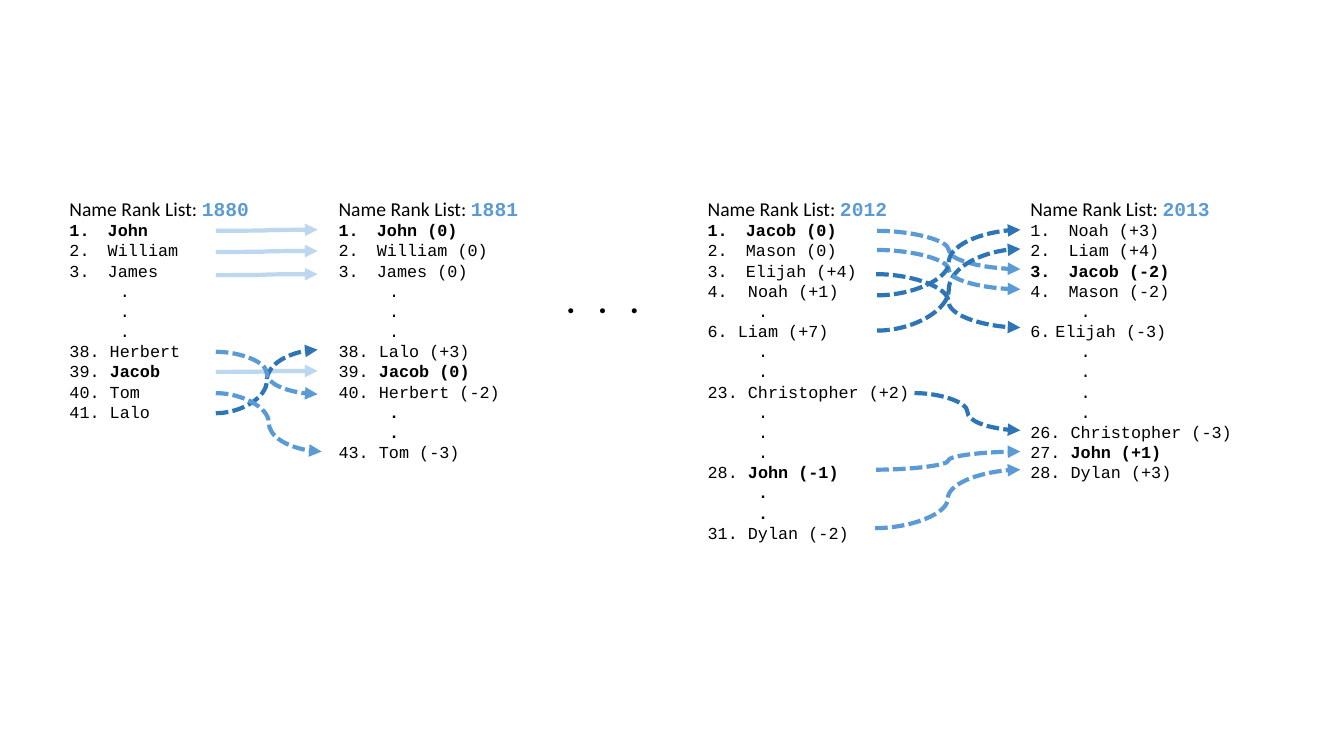
from dataclasses import dataclass

from lxml.etree import SubElement
from pptx import Presentation
from pptx.dml.color import RGBColor
from pptx.enum.dml import MSO_LINE_DASH_STYLE as Dash
from pptx.enum.shapes import MSO_CONNECTOR as Connector
from pptx.enum.text import MSO_AUTO_SIZE as AutoSize
from pptx.oxml.ns import qn
from pptx.slide import Slide
from pptx.text.text import TextFrame, _Paragraph as Paragraph
from pptx.util import Emu, Pt

PX = 9144  # 100 px to the inch


@dataclass(frozen=True)
class Theme:
    text: str = "000000"
    pale: str = "BDD7EE"
    mid: str = "5B9BD5"
    dark: str = "2E75B6"
    sans: str = "Calibri"
    mono: str = "Courier New"
    row_pt: int = 12
    heading_pt: int = 14
    ellipsis_pt: int = 24
    arrow_pt: int = 3


THEME = Theme()


@dataclass(frozen=True)
class Row:
    name: str
    rank: str = ""        # typed rank in front of the name
    bold: bool = False
    margin: int = 0
    hang: int = 0
    start: int = 0        # automatic numbering, when above zero


@dataclass(frozen=True)
class RankList:
    year: str
    left: int
    width: int
    height: int
    rows: list[Row]


@dataclass(frozen=True)
class Move:
    x1: int
    y1: int
    x2: int
    y2: int
    color: str
    dashed: bool = True


def numbered(name: str, bold: bool = False, hang: int = 38, start: int = 1) -> Row:
    return Row(name, bold=bold, margin=hang, hang=hang, start=start)


DOT = Row(".", margin=50)
BOLD_DOT = Row(".", bold=True, margin=50)
LIST_TOP = 190

# Rank lists
LISTS = [
    RankList("1880", 59, 209, 236, [
        numbered("John", True), numbered("William"), numbered("James"),
        *[DOT] * 3,
        Row("Herbert", "38. "), Row("Jacob", "39. ", True),
        Row("Tom", "40. "), Row("Lalo", "41. "),
    ]),
    RankList("1881", 326, 209, 276, [
        numbered("John (0)", True), numbered("William (0)"), numbered("James (0)"),
        *[DOT] * 3,
        Row("Lalo (+3)", "38. "), Row("Jacob (0)", "39. ", True),
        Row("Herbert (-2)", "40. "),
        *[BOLD_DOT] * 2,
        Row("Tom (-3)", "43. "),
    ]),
    RankList("2012", 692, 227, 377, [
        numbered("Jacob (0)", True), numbered("Mason (0)"), numbered("Elijah (+4)"),
        Row("Noah (+1)", "4.\t", margin=40, hang=40),
        DOT,
        Row("Liam (+7)", "6. "),
        *[DOT] * 2,
        Row("Christopher (+2)", "23. "),
        *[DOT] * 3,
        Row("John (-1)", "28. ", True),
        *[BOLD_DOT] * 2,
        Row("Dylan (-2)", "31. "),
    ]),
    RankList("2013", 1012, 225, 367, [
        numbered("Noah (+3)"), numbered("Liam (+4)"),
        numbered("Jacob (-2)", True), numbered("Mason (-2)"),
        DOT,
        numbered("Elijah (-3)", hang=25, start=6),
        *[DOT] * 4,
        Row("Christopher (-3)", "26. "), Row("John (+1)", "27. ", True),
        Row("Dylan (+3)", "28. "),
    ]),
]

# Moves between neighbouring years
MOVES = [
    *[Move(214, y, 315, y - 1, THEME.pale, False) for y in (229, 250, 273, 369)],
    Move(214, 410, 315, 347, THEME.dark),
    Move(214, 349, 315, 391, THEME.mid),
    Move(214, 390, 319, 448, THEME.mid),
    Move(870, 229, 1012, 267, THEME.mid),
    Move(870, 328, 1012, 247, THEME.dark),
    Move(870, 248, 1012, 287, THEME.mid),
    Move(870, 293, 1012, 228, THEME.dark),
    Move(869, 272, 1012, 325, THEME.dark),
    Move(907, 390, 1012, 427, THEME.dark),
    Move(869, 466, 1012, 448, THEME.mid),
    Move(868, 524, 1012, 466, THEME.mid),
]


def add_text_box(slide: Slide, left: int, top: int, width: int, height: int,
                 wrap: bool = True) -> TextFrame:
    sp = slide.shapes.add_textbox(*(Emu(v * PX) for v in (left, top, width, height)))
    tf = sp.text_frame
    tf.word_wrap = wrap
    tf.auto_size = AutoSize.SHAPE_TO_FIT_TEXT
    return tf


def add_run(p: Paragraph, text: str, size: int, font: str,
            color: str = THEME.text, bold: bool = False):
    r = p.add_run()
    r.text = text
    r.font.size = Pt(size)
    r.font.name = font
    r.font.bold = bold
    r.font.color.rgb = RGBColor.from_string(color)
    return r


def add_row(tf: TextFrame, row: Row) -> None:
    p = tf.add_paragraph()
    pPr = p._p.get_or_add_pPr()
    pPr.set("marL", str(row.margin * PX))
    pPr.set("indent", str(-row.hang * PX))
    if row.start:
        number = SubElement(pPr, qn("a:buAutoNum"), type="arabicPeriod")
        if row.start > 1:
            number.set("startAt", str(row.start))
    if row.rank:
        add_run(p, row.rank, THEME.row_pt, THEME.mono)
    add_run(p, row.name, THEME.row_pt, THEME.mono, bold=row.bold)


def add_rank_list(slide: Slide, ranks: RankList) -> None:
    tf = add_text_box(slide, ranks.left, LIST_TOP, ranks.width, ranks.height)
    p = tf.paragraphs[0]
    add_run(p, "Name Rank List: ", THEME.heading_pt, THEME.sans)
    add_run(p, ranks.year, THEME.heading_pt, THEME.mono, THEME.mid, True)
    for row in ranks.rows:
        add_row(tf, row)


def add_move(slide: Slide, move: Move) -> None:
    ends = (Emu(v * PX) for v in (move.x1, move.y1, move.x2, move.y2))
    sp = slide.shapes.add_connector(Connector.CURVE, *ends)
    sp.line.color.rgb = RGBColor.from_string(move.color)
    sp.line.width = Pt(THEME.arrow_pt)
    if move.dashed:
        sp.line.dash_style = Dash.SQUARE_DOT
    SubElement(sp.line._get_or_add_ln(), qn("a:tailEnd"), type="triangle")
    SubElement(sp._element.spPr, qn("a:effectLst"))


def main() -> None:
    prs = Presentation()
    prs.slide_width, prs.slide_height = Emu(1333 * PX), Emu(750 * PX)
    slide = prs.slides.add_slide(prs.slide_layouts[6])

    for ranks in LISTS:
        add_rank_list(slide, ranks)
    for move in MOVES:
        add_move(slide, move)

    # Skipped years
    tf = add_text_box(slide, 552, 273, 92, 50, wrap=False)
    r = add_run(tf.paragraphs[0], ". . .", THEME.ellipsis_pt, THEME.sans, bold=True)
    r.font._element.set("spc", "540")

    prs.save("out.pptx")


if __name__ == "__main__":
    main()
